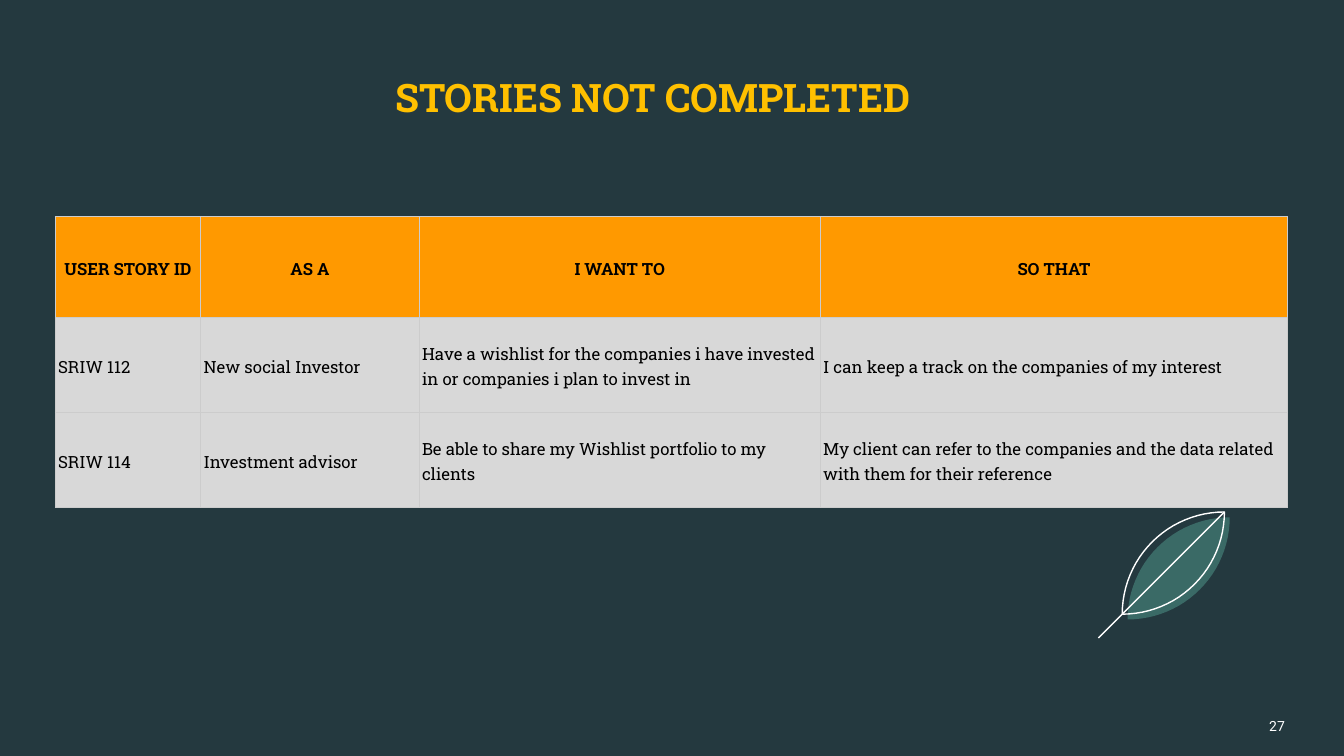
from math import cos, pi, sin

from lxml import etree
from pptx import Presentation
from pptx.dml.color import RGBColor
from pptx.enum.shapes import MSO_CONNECTOR
from pptx.enum.text import MSO_ANCHOR, PP_ALIGN
from pptx.oxml.ns import qn
from pptx.util import Pt

STRAIGHT = MSO_CONNECTOR.STRAIGHT
MIDDLE = MSO_ANCHOR.MIDDLE
LEFT, CENTER, RIGHT = PP_ALIGN.LEFT, PP_ALIGN.CENTER, PP_ALIGN.RIGHT

NIGHT = RGBColor(0x24, 0x39, 0x3F)
GOLD = RGBColor(0xFF, 0xC0, 0x00)
ORANGE = RGBColor(0xFF, 0x99, 0x00)
GREY = RGBColor(0xD8, 0xD8, 0xD8)
LEAF_GREEN = RGBColor(0x5D, 0xB4, 0xA2)
WHITE = RGBColor(0xFF, 0xFF, 0xFF)
BLACK = RGBColor(0x00, 0x00, 0x00)
BORDER = "CCCCCC"

prs = Presentation()
prs.slide_width, prs.slide_height = Pt(960), Pt(540)
slide = prs.slides.add_slide(prs.slide_layouts[6])
slide.background.fill.solid()
slide.background.fill.fore_color.rgb = NIGHT


def write(paragraph, text, font, size, color, align, bold=False):
    paragraph.alignment = align
    run = paragraph.add_run()
    run.text = text
    run.font.name = font
    run.font.size = Pt(size)
    run.font.bold = bold
    run.font.color.rgb = color


def add_leaf(left, top, size):
    """Two quarter circles that meet at the top right and bottom left."""
    steps = 24
    angles = [pi / 2 * i / steps for i in range(steps + 1)]
    upper = [(left + size - size * cos(a), top + size - size * sin(a)) for a in angles]
    lower = [(left + size * cos(a), top + size * sin(a)) for a in angles]
    points = [(Pt(x), Pt(y)) for x, y in upper + lower[1:]]
    builder = slide.shapes.build_freeform(*points[0])
    builder.add_line_segments(points[1:], close=True)
    leaf = builder.convert_to_shape()
    leaf.shadow.inherit = False
    return leaf


# Leaf: tinted body, outline and stem
LEAF_LEFT, LEAF_TOP, LEAF_SIZE = 801.6, 365.7, 73
STEM_LENGTH = 90

body = add_leaf(LEAF_LEFT + 3.8, LEAF_TOP + 3.8, LEAF_SIZE)
body.fill.solid()
body.fill.fore_color.rgb = LEAF_GREEN
tint = body.fill._xPr.find(qn("a:solidFill"))[0]
etree.SubElement(tint, qn("a:alpha"), val="40000")
body.line.fill.background()

outline = add_leaf(LEAF_LEFT, LEAF_TOP, LEAF_SIZE)
outline.fill.background()
outline.line.color.rgb = WHITE
outline.line.width = Pt(1)

tip_x = LEAF_LEFT + LEAF_SIZE
stem = slide.shapes.add_connector(
    STRAIGHT, Pt(tip_x), Pt(LEAF_TOP), Pt(tip_x - STEM_LENGTH), Pt(LEAF_TOP + STEM_LENGTH))
stem.line.color.rgb = WHITE
stem.line.width = Pt(1)
etree.SubElement(stem._element.spPr, qn("a:effectLst"))

# Title and page number
for text, box, font, size, color, align, bold in [
    ("STORIES NOT COMPLETED", (13, 31, 906.5, 75.6), "Roboto Slab", 28, GOLD, CENTER, True),
    ("27", (743.8, 504, 174, 28.8), "Roboto", 10, WHITE, RIGHT, False),
]:
    frame = slide.shapes.add_textbox(*map(Pt, box)).text_frame
    frame.word_wrap = True
    frame.vertical_anchor = MIDDLE
    frame.margin_left = frame.margin_right = frame.margin_top = frame.margin_bottom = 0
    write(frame.paragraphs[0], text, font, size, color, align, bold)

# Stories table
stories = [
    ["USER STORY ID", "AS A", "I WANT TO", "SO THAT"],
    ["SRIW 112", "New social Investor",
     "Have a wishlist for the companies i have invested in or companies i plan to invest in",
     "I can keep a track on the companies of my interest"],
    ["SRIW 114", "Investment advisor",
     "Be able to share my Wishlist portfolio to my clients",
     "My client can refer to the companies and the data related with them for their reference"],
]
column_widths = [104, 156, 286.5, 334]
row_heights = [72, 68, 68]

table = slide.shapes.add_table(
    len(row_heights), len(column_widths), Pt(39.5), Pt(154.6),
    Pt(sum(column_widths)), Pt(sum(row_heights))).table
table.first_row = table.horz_banding = False
for column, width in zip(table.columns, column_widths):
    column.width = Pt(width)

for r, (story, height) in enumerate(zip(stories, row_heights)):
    table.rows[r].height = Pt(height)
    header = r == 0
    for c, text in enumerate(story):
        cell = table.cell(r, c)
        cell.vertical_anchor = MIDDLE
        cell.margin_left = cell.margin_right = Pt(2)
        cell.margin_top = cell.margin_bottom = Pt(7.2)
        cell.fill.solid()
        cell.fill.fore_color.rgb = ORANGE if header else GREY
        paragraph = cell.text_frame.paragraphs[0]
        paragraph.line_spacing = 1.15
        write(paragraph, text, "Roboto Slab", 12, BLACK, CENTER if header else LEFT, header)
        # Borders come before the fill in the cell properties
        properties = cell._tc.get_or_add_tcPr()
        for i, side in enumerate(["a:lnL", "a:lnR", "a:lnT", "a:lnB"]):
            edge = etree.Element(qn(side), w=str(Pt(0.75)))
            edge_fill = etree.SubElement(edge, qn("a:solidFill"))
            etree.SubElement(edge_fill, qn("a:srgbClr"), val=BORDER)
            properties.insert(i, edge)

prs.save("out.pptx")
